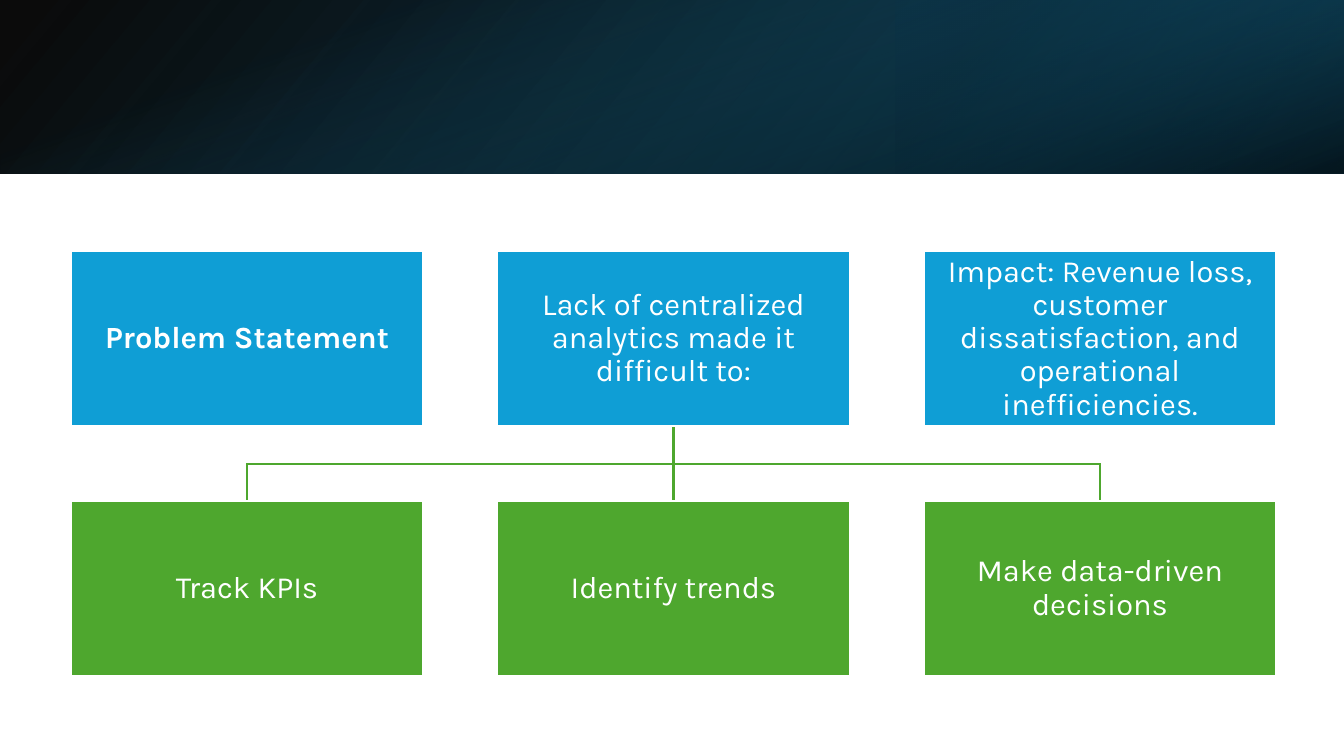
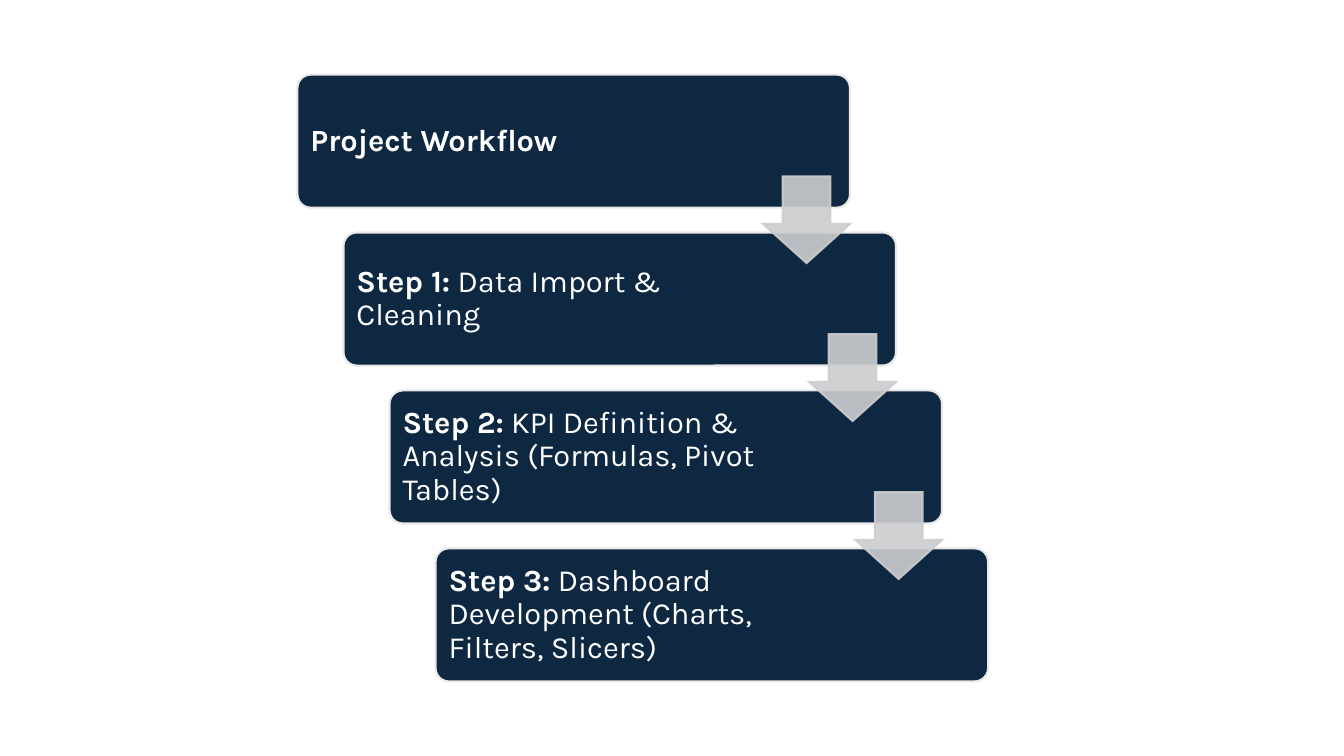
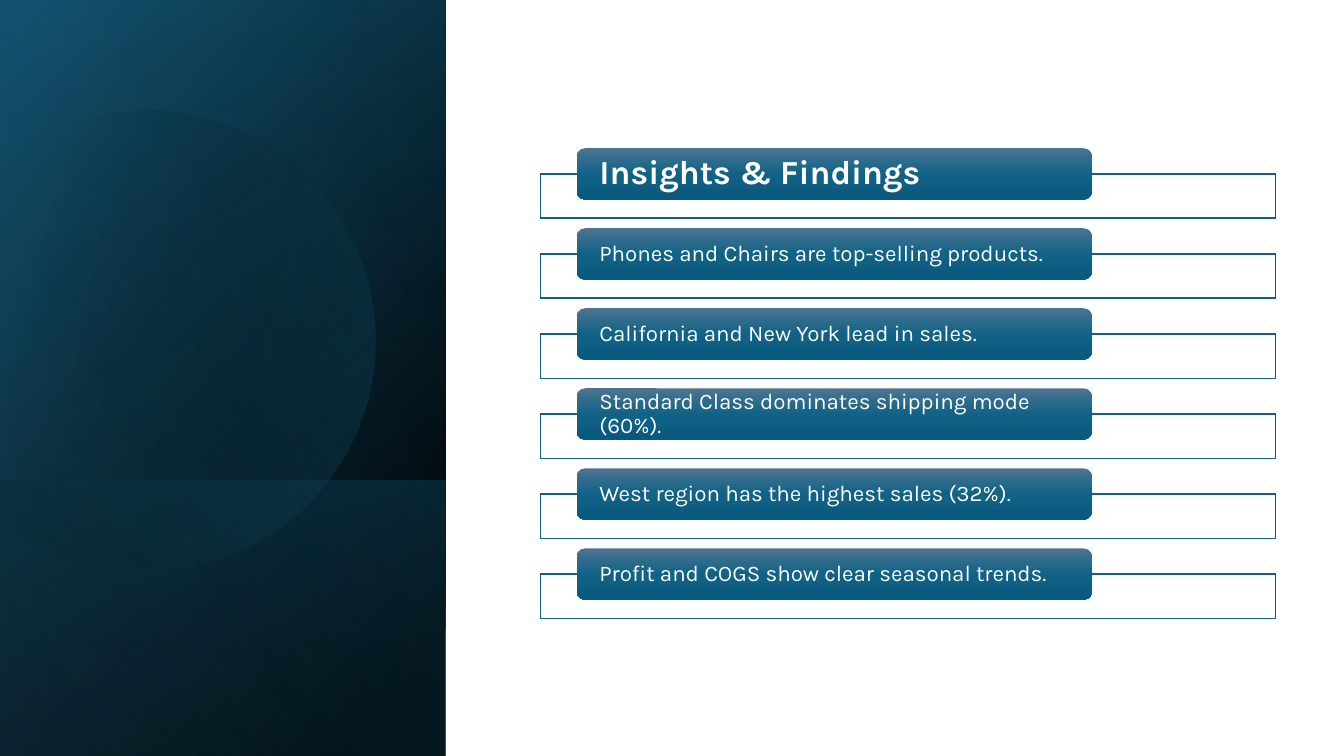
from math import cos, radians, sin

from lxml.etree import SubElement
from pptx import Presentation
from pptx.dml.color import RGBColor
from pptx.enum.shapes import MSO_CONNECTOR, MSO_SHAPE
from pptx.enum.text import MSO_ANCHOR, PP_ALIGN
from pptx.oxml.ns import qn
from pptx.util import Inches, Pt

# Shared look
PAGE_W, PAGE_H = 13.33, 7.5
FONT = "Karla"
BODY_SIZE = 22
WHITE = RGBColor(0xFF, 0xFF, 0xFF)
BLACK = RGBColor(0x00, 0x00, 0x00)
BLUE = RGBColor(0x0F, 0x9E, 0xD5)
GREEN = RGBColor(0x4E, 0xA7, 0x2E)
NAVY = RGBColor(0x0E, 0x28, 0x41)
PALE = RGBColor(0xE8, 0xE8, 0xE8)
SILVER = RGBColor(0xCC, 0xCD, 0xCF)
TEAL = RGBColor(0x15, 0x60, 0x82)
DEEP_TEAL = RGBColor(0x10, 0x48, 0x62)
DARK_TEAL = RGBColor(0x0B, 0x30, 0x41)
SKY = RGBColor(0x46, 0xB1, 0xE1)
PILL_STOPS = [(0, RGBColor(0x4C, 0x75, 0x91), 100),
              (50, RGBColor(0x10, 0x62, 0x87), 100),
              (100, RGBColor(0x09, 0x59, 0x7D), 100)]

# Content: a text is a list of (words, bold) runs
PROBLEM_ROWS = [
    (BLUE, [[("Problem Statement", True)],
            [("Lack of centralized analytics made it difficult to:", False)],
            [("Impact: Revenue loss, customer dissatisfaction, and operational "
              "inefficiencies.", False)]]),
    (GREEN, [[("Track KPIs", False)],
             [("Identify trends", False)],
             [("Make data-driven decisions", False)]]),
]
WORKFLOW = [
    [("Project Workflow", True)],
    [("Step 1:", True), (" Data Import & Cleaning", False)],
    [("Step 2:", True), (" KPI Definition & Analysis (Formulas, Pivot Tables)", False)],
    [("Step 3:", True), (" Dashboard Development (Charts, Filters, Slicers)", False)],
]
FINDINGS = [
    ("Insights & Findings", 24, True),
    ("Phones and Chairs are top-selling products.", 16, False),
    ("California and New York lead in sales.", 16, False),
    ("Standard Class dominates shipping mode (60%).", 16, False),
    ("West region has the highest sales (32%).", 16, False),
    ("Profit and COGS show clear seasonal trends.", 16, False),
]

# Backdrop layers: box, rotation, flipped, gradient angle, (position, colour, opacity)
HEADER_H = 1.72
HEADER_LAYERS = [
    ((0, 0, PAGE_W, HEADER_H), 0, True, 140, [(0, BLACK, 96), (100, DEEP_TEAL, 100)]),
    ((PAGE_W * 2 / 3, 0, PAGE_W / 3, HEADER_H), 180, True, 320,
     [(19, DARK_TEAL, 68), (100, TEAL, 79)]),
    (((PAGE_W - HEADER_H) / 2, (HEADER_H - PAGE_W) / 2, HEADER_H, PAGE_W), 90, False, 340,
     [(23, TEAL, 0), (99, BLACK, 74)]),
]
PANEL_W = 4.42
PANEL_BOX = ((PANEL_W - PAGE_H) / 2, (PAGE_H - PANEL_W) / 2, PAGE_H, PANEL_W)
PANEL_LAYERS = [
    (PANEL_BOX, 90, True, 50, [(8, BLACK, 100), (100, DEEP_TEAL, 100)]),
    (PANEL_BOX, 90, True, 30, [(0, BLACK, 0), (99, TEAL, 46)]),
    ((0.84, 3.93, 2.74, PANEL_W), 90, True, 130, [(2, TEAL, 29), (100, BLACK, 30)]),
]
PANEL_GLOW = (PANEL_BOX, 90, True, 120, [(0, BLACK, 0), (99, SKY, 11)])

# Cut disc as it stands on the page: a start, then curves (3 points) and lines (1 point)
DISC_TURN = 343.9
DISC_CENTRE = (1.59, 3.35)
DISC_START = (1.49, 1.1)
DISC_SEGMENTS = [
    [(2.46, 1.12), (3.35, 1.77), (3.63, 2.75)],
    [(3.98, 3.97), (3.28, 5.23), (2.07, 5.58)],
    [(1.31, 5.8), (0.53, 5.61), (-0.03, 5.14)],
    [(-0.15, 5.03)], [(-0.15, 1.75)], [(0, 1.61)],
    [(0.23, 1.42), (0.5, 1.28), (0.8, 1.19)],
    [(1.03, 1.13), (1.26, 1.1), (1.49, 1.1)],
]


def set_opacity(fill_parent, percent):
    for colour in fill_parent.iter(qn("a:srgbClr")):
        SubElement(colour, qn("a:alpha"), val=str(percent * 1000))


def paint(shape, fill=None, line=None, weight=1.5, opacity=100):
    shape.shadow.inherit = False
    if fill is None:
        shape.fill.background()
    else:
        shape.fill.solid()
        shape.fill.fore_color.rgb = fill
    if opacity < 100:
        set_opacity(shape._element.spPr, opacity)
    if line is None:
        shape.line.fill.background()
    else:
        shape.line.color.rgb = line
        shape.line.width = Pt(weight)
        SubElement(shape.line._ln, qn("a:miter"), lim="800000")


def paint_gradient(shape, stops, angle):
    paint(shape)
    properties = shape._element.spPr
    gradient = SubElement(properties, qn("a:gradFill"), rotWithShape="1")
    stop_list = SubElement(gradient, qn("a:gsLst"))
    for position, colour, opacity in stops:
        stop = SubElement(stop_list, qn("a:gs"), pos=str(position * 1000))
        SubElement(stop, qn("a:srgbClr"), val=str(colour))
        if opacity < 100:
            set_opacity(stop, opacity)
    SubElement(gradient, qn("a:lin"), ang=str(angle * 60000), scaled="0")
    properties.replace(properties.find(qn("a:noFill")), gradient)


def add_box(page, kind, box, adjustments=()):
    shape = page.shapes.add_shape(kind, *[Inches(length) for length in box])
    for index, value in enumerate(adjustments):
        shape.adjustments[index] = value
    return shape


def add_layer(page, box, rotation, flipped, angle, stops):
    layer = add_box(page, MSO_SHAPE.RECTANGLE, box)
    paint_gradient(layer, stops, angle)
    layer.rotation = rotation
    if flipped:
        layer._element.spPr.xfrm.set("flipH", "1")


def write(shape, spans, size, align, insets):
    frame = shape.text_frame
    frame.word_wrap = True
    frame.vertical_anchor = MSO_ANCHOR.MIDDLE
    (frame.margin_left, frame.margin_top,
     frame.margin_right, frame.margin_bottom) = [Inches(inset) for inset in insets]
    para = frame.paragraphs[0]
    para.alignment = align
    para.line_spacing = 0.9
    for words, bold in spans:
        span = para.add_run()
        span.text = words
        span.font.name = FONT
        span.font.size = Pt(size)
        span.font.bold = bold
        span.font.color.rgb = WHITE


def add_outline(page, points, closed):
    start, *rest = [(Inches(x), Inches(y)) for x, y in points]
    builder = page.shapes.build_freeform(*start)
    builder.add_line_segments(rest, close=closed)
    return builder.convert_to_shape()


def unturn(point):
    """Place of a point before the disc is turned."""
    angle = radians(-DISC_TURN)
    x, y = point[0] - DISC_CENTRE[0], point[1] - DISC_CENTRE[1]
    return (DISC_CENTRE[0] + x * cos(angle) - y * sin(angle),
            DISC_CENTRE[1] + x * sin(angle) + y * cos(angle))


def add_disc(page):
    points = [DISC_START] + [point for segment in DISC_SEGMENTS for point in segment]
    disc = add_outline(page, [unturn(point) for point in points], True)
    # Join each three control points into one curve
    lines = iter(list(disc._element.spPr.iter(qn("a:lnTo"))))
    for segment in DISC_SEGMENTS:
        first, *others = [next(lines) for _ in segment]
        if others:
            first.tag = qn("a:cubicBezTo")
            for other in others:
                first.append(other[0])
                other.getparent().remove(other)
    paint_gradient(disc, [(29, BLACK, 0), (100, TEAL, 43)], 30)
    disc.rotation = DISC_TURN


def build_problem(page):
    for layer in HEADER_LAYERS:
        add_layer(page, *layer)
    left, top, width, height = 0.7, 2.49, 3.5, 1.74
    column_pitch, row_pitch = 4.23, 2.48
    centres = [left + width / 2 + column * column_pitch for column in range(3)]
    branch_top, branch_end = top + height, top + row_pitch
    middle, trunk_x = (branch_top + branch_end) / 2, centres[1]

    # Branch lines
    for end_x in (centres[2], centres[0]):
        branch = add_outline(page, [(trunk_x, branch_top), (trunk_x, middle),
                                    (end_x, middle), (end_x, branch_end)], False)
        paint(branch, line=GREEN)
    trunk = page.shapes.add_connector(
        MSO_CONNECTOR.STRAIGHT, Inches(trunk_x), Inches(branch_top),
        Inches(trunk_x), Inches(branch_end))
    trunk.line.color.rgb = GREEN
    trunk.line.width = Pt(1.5)
    SubElement(trunk._element.spPr, qn("a:effectLst"))

    # Cards
    for row, (colour, texts) in enumerate(PROBLEM_ROWS):
        for centre, spans in zip(centres, texts):
            card = add_box(page, MSO_SHAPE.RECTANGLE,
                           (centre - width / 2, top + row * row_pitch, width, height))
            paint(card, colour, WHITE)
            write(card, spans, BODY_SIZE, PP_ALIGN.CENTER, (0.02,) * 4)


def build_workflow(page):
    left, top, width, height, arrow_size = 2.95, 0.74, 5.48, 1.32, 0.86
    last = len(WORKFLOW) - 1
    shift, drop = 1.37 / last, 4.7 / last
    for index, spans in enumerate(WORKFLOW):
        step = add_box(page, MSO_SHAPE.ROUNDED_RECTANGLE,
                       (left + index * shift, top + index * drop, width, height), [0.1])
        paint(step, NAVY, PALE)
        write(step, spans, BODY_SIZE, PP_ALIGN.LEFT, (0.09, 0.09, 1.41, 0.09))
    for index in range(last):
        arrow = add_box(page, MSO_SHAPE.DOWN_ARROW,
                        (left + index * shift + width - arrow_size,
                         top + index * drop + 1.01, arrow_size, arrow_size), [0.55, 0.45])
        paint(arrow, SILVER, SILVER, opacity=90)
        set_opacity(arrow.line._ln, 90)


def build_findings(page):
    for layer in PANEL_LAYERS:
        add_layer(page, *layer)
    add_disc(page)
    add_layer(page, *PANEL_GLOW)

    top, pill_height = 1.47, 0.51
    pitch = 3.97 / (len(FINDINGS) - 1)
    for index, (words, size, bold) in enumerate(FINDINGS):
        y = top + index * pitch
        frame = add_box(page, MSO_SHAPE.RECTANGLE, (5.36, y + pill_height / 2, 7.29, 0.44))
        paint(frame, WHITE, TEAL, 1, opacity=90)
        pill = add_box(page, MSO_SHAPE.ROUNDED_RECTANGLE, (5.72, y, 5.11, pill_height))
        paint_gradient(pill, PILL_STOPS, 90)
        write(pill, [(words, bold)], size, PP_ALIGN.LEFT, (0.2, 0, 0.19, 0))


def main():
    deck = Presentation()
    deck.slide_width, deck.slide_height = Inches(PAGE_W), Inches(PAGE_H)
    for build in (build_problem, build_workflow, build_findings):
        build(deck.slides.add_slide(deck.slide_layouts[6]))
    deck.save("out.pptx")


if __name__ == "__main__":
    main()
